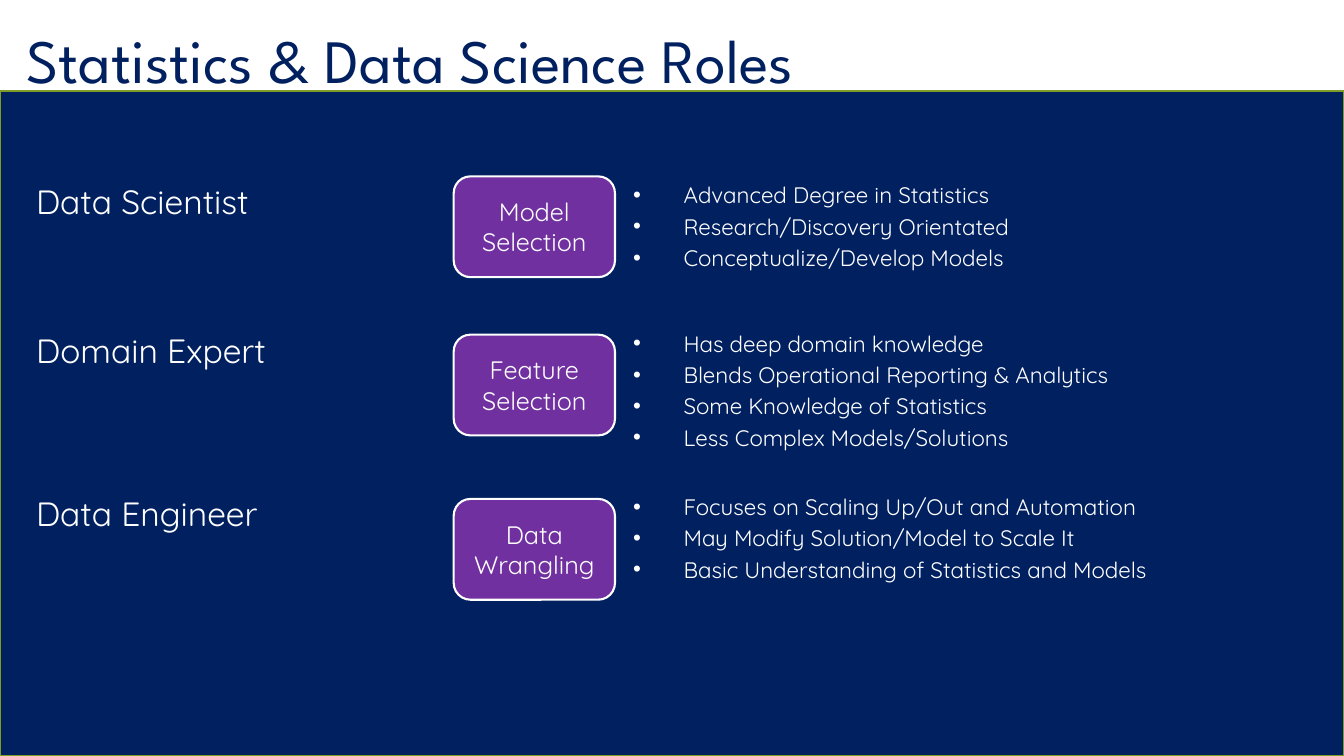
"""Build the slide on statistics and data science roles."""
from lxml import etree
from pptx import Presentation
from pptx.dml.color import RGBColor
from pptx.enum import shapes, text
from pptx.oxml.ns import qn
from pptx.util import Inches, Pt

TITLE = "Statistics & Data Science Roles"
ROLES = [
    {"role": "Data Scientist", "skill": "Model Selection",
     "top": 1.75, "skill_top": 1.75, "list_size": (4.19, 1.02),
     "traits": ["Advanced Degree in Statistics",
                "Research/Discovery Orientated",
                "Conceptualize/Develop Models"]},
    {"role": "Domain Expert", "skill": "Feature Selection",
     "top": 3.22, "skill_top": 3.32, "list_size": (5.17, 1.34),
     "traits": ["Has deep domain knowledge",
                "Blends Operational Reporting & Analytics",
                "Some Knowledge of Statistics",
                "Less Complex Models/Solutions"]},
    {"role": "Data Engineer", "skill": "Data Wrangling",
     "top": 4.84, "skill_top": 4.95, "list_size": (5.52, 1.02),
     "traits": ["Focuses on Scaling Up/Out and Automation",
                "May Modify Solution/Model to Scale It",
                "Basic Understanding of Statistics and Models"]},
]
COLORS = {"navy": "002060", "green": "7F9D26", "purple": "7030A0", "white": "FFFFFF"}
LIST_INDEXES = (1, 2, 4)
ROLE_LEFT, SKILL_LEFT, LIST_LEFT = 0.26, 4.5, 6.18


def color(name):
    return RGBColor.from_string(COLORS[name])


def add_bullet(paragraph):
    properties = paragraph._p.get_or_add_pPr()
    properties.set("marL", str(Inches(0.5)))
    properties.set("indent", str(-Inches(0.5)))
    etree.SubElement(properties, qn("a:buFont")).set("typeface", "Arial")
    etree.SubElement(properties, qn("a:buChar")).set("char", "•")


def write(shape, lines, size, font="Quicksand", ink="white", align=text.PP_ALIGN.LEFT,
          anchor=text.MSO_ANCHOR.TOP, bullets=False, gap=0, spacing=1.0):
    frame = shape.text_frame
    frame.word_wrap = True
    frame.auto_size = text.MSO_AUTO_SIZE.NONE
    frame.vertical_anchor = anchor
    for number, line in enumerate(lines):
        paragraph = frame.add_paragraph() if number else frame.paragraphs[0]
        paragraph.text = line
        paragraph.alignment = align
        paragraph.line_spacing = spacing
        paragraph.space_before = Pt(gap if number else 0)
        if bullets:
            add_bullet(paragraph)
        paragraph.font.name = font
        paragraph.font.size = Pt(size)
        paragraph.font.bold = False
        paragraph.font.color.rgb = color(ink)


def place(shape, left, top, width, height):
    shape.left, shape.top = Inches(left), Inches(top)
    shape.width, shape.height = Inches(width), Inches(height)


def add_block(slide, kind, box, fill, line):
    shape = slide.shapes.add_shape(kind, *map(Inches, box))
    shape.shadow.inherit = False
    shape.fill.solid()
    shape.fill.fore_color.rgb = color(fill)
    shape.line.color.rgb = color(line)
    shape.line.width = Pt(1.5)
    return shape


def main():
    presentation = Presentation()
    presentation.slide_width, presentation.slide_height = Inches(13.33), Inches(7.5)
    layout = presentation.slide_layouts.get_by_name("Comparison")
    slide = presentation.slides.add_slide(layout)

    panel = add_block(slide, shapes.MSO_SHAPE.RECTANGLE, (0, 0.9, 13.33, 6.6),
                      "navy", "green")
    slide.shapes._spTree.insert(2, panel._element)

    title = slide.shapes.title
    place(title, 0.16, 0.08, 11.5, 1.1)
    write(title, [TITLE], 44, font="League Spartan", ink="navy",
          anchor=text.MSO_ANCHOR.MIDDLE, spacing=0.9)

    bodies = {body.placeholder_format.idx: body for body in slide.placeholders}
    for index, entry in zip(LIST_INDEXES, ROLES):
        role = slide.shapes.add_textbox(Inches(ROLE_LEFT), Inches(entry["top"]),
                                        Inches(3.67), Inches(0.5))
        write(role, [entry["role"]], 24)

        skill = add_block(slide, shapes.MSO_SHAPE.ROUNDED_RECTANGLE,
                          (SKILL_LEFT, entry["skill_top"], 1.6, 1), "purple", "white")
        write(skill, [entry["skill"]], 18, align=text.PP_ALIGN.CENTER,
              anchor=text.MSO_ANCHOR.MIDDLE)

        traits = bodies[index]
        place(traits, LIST_LEFT, entry["top"], *entry["list_size"])
        write(traits, entry["traits"], 16, bullets=True, gap=3.2)

    for body in list(slide.placeholders):
        if not body.text_frame.text:
            body._element.getparent().remove(body._element)

    presentation.save("out.pptx")


if __name__ == "__main__":
    main()
